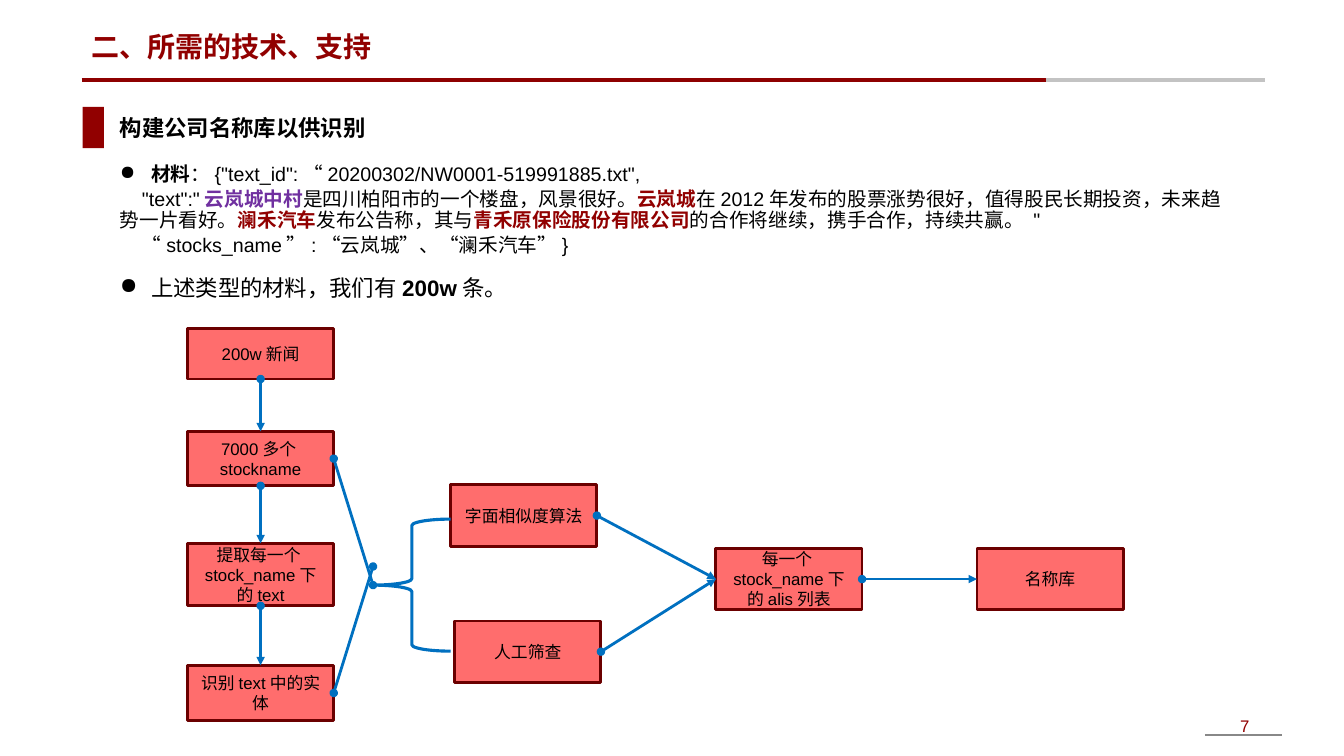
from lxml import etree
from pptx import Presentation
from pptx import util as u
from pptx.dml.color import RGBColor
from pptx.enum import shapes, text
from pptx.oxml import ns

RED, BLACK, PURPLE, BLUE = "910000", "000000", "7030A0", "0070C0"
LATIN, CHINESE = "Arial", "Noto Sans CJK SC"
TOP, LEFT, BOTTOM, RIGHT = range(4)


def color(value):
    """Turn a hex string into a colour."""
    return RGBColor.from_string(value)


def add_child(parent, tag, **attributes):
    """Append a DrawingML element to a parent."""
    return etree.SubElement(parent, ns.qn(tag), attributes)


def add_run(paragraph, wording, size, hue=BLACK, bold=False, font=LATIN):
    """Add one styled run with Latin and Chinese fonts."""
    run = paragraph.add_run()
    run.text = wording
    run.font.size, run.font.bold, run.font.name = u.Pt(size), bold, font
    run.font.color.rgb = color(hue)
    add_child(run.font._element, "a:ea", typeface=CHINESE)


def add_text_frame(slide, left, top, width, height):
    """Add a wrapping text box and return its frame."""
    frame = slide.shapes.add_textbox(*map(u.Inches, (left, top, width, height))).text_frame
    frame.word_wrap = True
    return frame


def set_paragraph(paragraph, spacing, hanging=0, first=0, bullet=None):
    """Set the spacing, indents and bullet of a paragraph."""
    paragraph.line_spacing = spacing
    paragraph.space_before = u.Pt(3)
    properties = paragraph._p.get_or_add_pPr()
    properties.set("marL", str(u.Inches(hanging)))
    properties.set("indent", str(u.Inches(first - hanging)))
    if bullet:
        add_child(properties, "a:buChar", char=bullet)


def add_box(slide, kind, left, top, width, height, fill=None, line=None, weight=2):
    """Add a preset shape without shadow."""
    shape = slide.shapes.add_shape(kind, *map(u.Inches, (left, top, width, height)))
    shape.shadow.inherit = False
    if fill:
        shape.fill.solid()
        shape.fill.fore_color.rgb = color(fill)
    else:
        shape.fill.background()
    if line:
        shape.line.color.rgb = color(line)
        shape.line.width = u.Pt(weight)
    else:
        shape.line.fill.background()
    return shape


def add_line(slide, start, end, hue, weight, head=None, tail=None):
    """Add a straight line with optional end marks."""
    line = slide.shapes.add_connector(
        shapes.MSO_CONNECTOR.STRAIGHT, *map(u.Inches, (*start, *end)))
    line.line.color.rgb = color(hue)
    line.line.width = u.Pt(weight)
    properties = line._element.spPr
    outline = properties.find(ns.qn("a:ln"))
    for tag, mark in (("a:headEnd", head), ("a:tailEnd", tail)):
        if mark:
            add_child(outline, tag, type=mark)
    add_child(properties, "a:effectLst")
    return line


def add_header(slide, left, top, width, title):
    """Place the title above its two-tone rule."""
    frame = add_text_frame(slide, left, top, 9, 0.44)
    add_run(frame.paragraphs[0], title, 20, RED, True, CHINESE)
    rule = top + 0.55
    add_line(slide, (left, rule), (left + width - 0.03, rule), "8E0000", 3)
    add_line(slide, (left + 9.56, rule), (left + width, rule), "C3C3C3", 3)


def add_section(slide, left, top, width, heading):
    """Place the section marker, heading and material notes."""
    add_box(slide, shapes.MSO_SHAPE.RECTANGLE, left, top, 0.21, 0.41, RED)
    frame = add_text_frame(slide, left + 0.27, top + 0.02, width - 0.27, 0.37)
    add_run(frame.paragraphs[0], heading, 16, BLACK, True, CHINESE)

    exact = u.Pt(15)
    bulleted = dict(hanging=0.31, bullet="●")
    materials = [
        (14, exact, bulleted, [
            ("材料", BLACK, True),
            (":{\"text_id\":“20200302/NW0001-519991885.txt\",".replace(":", "：", 1),)]),
        (14, exact, dict(first=0.22), [
            ("\"text\":\"",),
            ("云岚城中村", PURPLE, True),
            ("是四川柏阳市的一个楼盘，风景很好。",),
            ("云岚城", RED, True),
            ("在2012年发布的股票涨势很好，值得股民长期投资，未来趋势一片看好。",),
            ("澜禾汽车", RED, True),
            ("发布公告称，其与",),
            ("青禾原保险股份有限公司", RED, True),
            ("的合作将继续，携手合作，持续共赢。 \"",)]),
        (14, exact, dict(first=0.22), [
            ("“stocks_name”:“云岚城”、“澜禾汽车”}",)]),
        (16, 1.5, bulleted, [
            ("上述类型的材料，我们有",), ("200w", BLACK, True), ("条。",)]),
    ]
    frame = add_text_frame(slide, left + 0.27, top + 0.52, width - 0.27, 1.89)
    for index, (size, spacing, layout, runs) in enumerate(materials):
        paragraph = frame.add_paragraph() if index else frame.paragraphs[0]
        set_paragraph(paragraph, spacing, **layout)
        for wording, *style in runs:
            add_run(paragraph, wording, size, *style)


def add_flow(slide, left, top):
    """Place the flow chart from the news to the name library."""
    steps = {
        "news": (0, 0, 0.5, "200w新闻"),
        "extract": (0, 2.13, 0.62, "提取每一个stock_name下的text"),
        "stocks": (0, 1.02, 0.54, "7000多个stockname"),
        "entities": (0, 3.34, 0.55, "识别text中的实体"),
        "similarity": (2.61, 1.55, 0.61, "字面相似度算法"),
        "aliases": (5.24, 2.18, 0.61, "每一个stock_name下的alis列表"),
        "library": (7.83, 2.18, 0.61, "名称库"),
        "manual": (2.65, 2.9, 0.61, "人工筛查"),
    }
    nodes = {}
    for name, (x, y, height, label) in steps.items():
        node = add_box(slide, shapes.MSO_SHAPE.RECTANGLE, left + x, top + y, 1.45, height,
                       "FF6D6D", "6B0000")
        node.text_frame.word_wrap = True
        node.text_frame.vertical_anchor = text.MSO_ANCHOR.MIDDLE
        paragraph = node.text_frame.paragraphs[0]
        paragraph.alignment = text.PP_ALIGN.CENTER
        add_run(paragraph, label, 12)
        nodes[name] = node
    nodes["brace"] = add_box(slide, shapes.MSO_SHAPE.LEFT_BRACE, left + 1.84, top + 1.89,
                             0.77, 1.31, line=BLUE, weight=2.25)

    links = [
        ("news", BOTTOM, "stocks", TOP, "triangle"),
        ("stocks", BOTTOM, "extract", TOP, "triangle"),
        ("extract", BOTTOM, "entities", TOP, "triangle"),
        ("stocks", RIGHT, "brace", LEFT, "oval"),
        ("similarity", RIGHT, "aliases", LEFT, "triangle"),
        ("manual", RIGHT, "aliases", LEFT, "triangle"),
        ("aliases", RIGHT, "library", LEFT, "triangle"),
    ]
    for source, exit_side, target, entry_side, tail in links:
        link = add_line(slide, (left, top), (left, top), BLUE, 2, "oval", tail)
        link.begin_connect(nodes[source], exit_side)
        link.end_connect(nodes[target], entry_side)
    merge = (left + 1.84, top + 2.36)
    entity_link = add_line(slide, merge, merge, BLUE, 2, "oval", "oval")
    entity_link.begin_connect(nodes["entities"], RIGHT)


def add_page_number(slide, left, top, number):
    """Place the page number over its rule."""
    add_line(slide, (left, top + 0.29), (left + 0.77, top + 0.29), "888888", 1)
    frame = add_text_frame(slide, left + 0.07, top, 0.65, 0.4)
    frame.vertical_anchor = text.MSO_ANCHOR.MIDDLE
    frame.paragraphs[0].alignment = text.PP_ALIGN.CENTER
    add_run(frame.paragraphs[0], number, 12, RED)


def main():
    """Build and save the slide."""
    deck = Presentation()
    deck.slide_width, deck.slide_height = u.Inches(13.33), u.Inches(7.5)
    slide = deck.slides.add_slide(deck.slide_layouts[6])
    add_header(slide, 0.81, 0.24, 11.74, "二、所需的技术、支持")
    add_section(slide, 0.82, 1.06, 11.4, "构建公司名称库以供识别")
    add_flow(slide, 1.86, 3.26)
    add_page_number(slide, 11.95, 7, "7")
    deck.save("out.pptx")


main()
